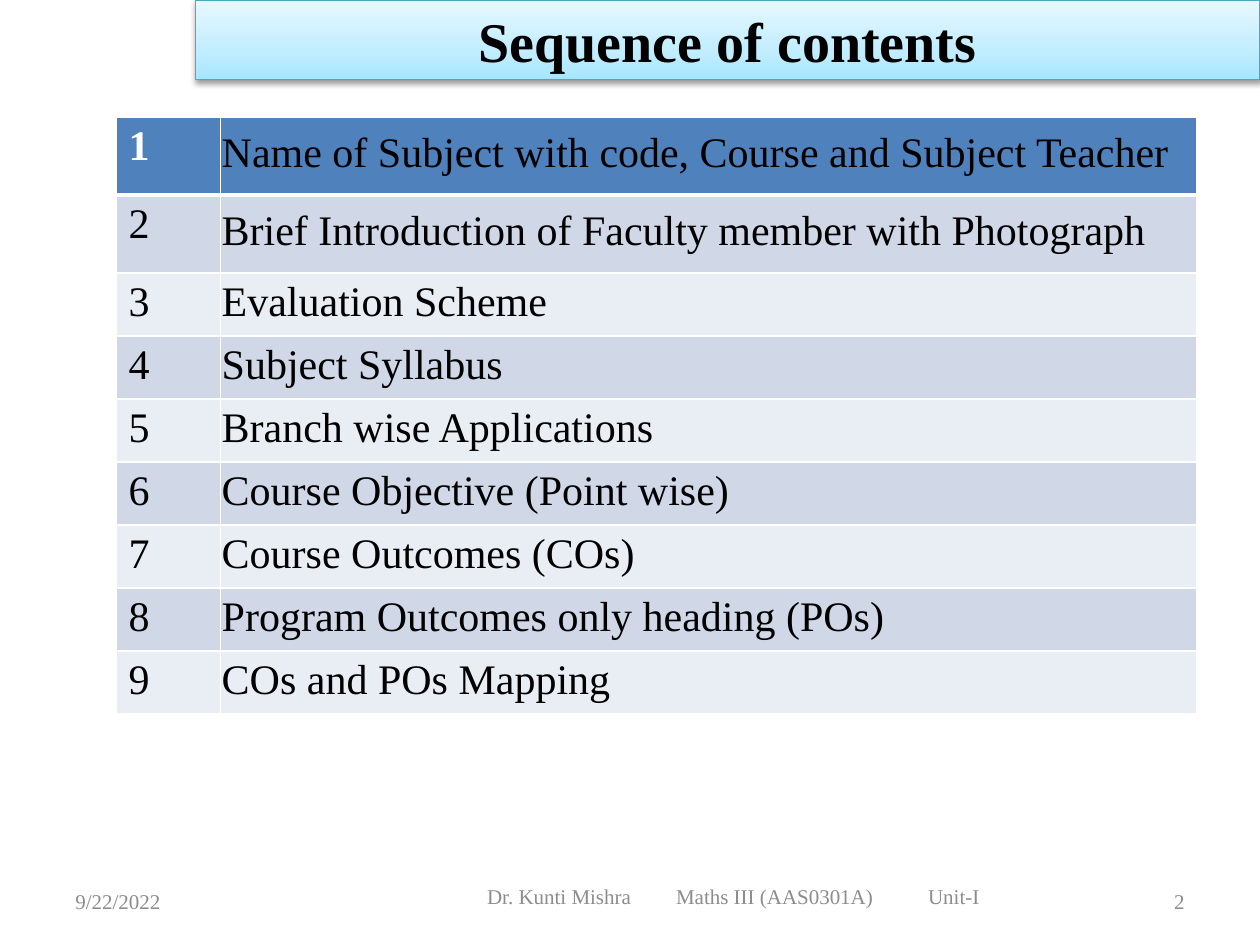
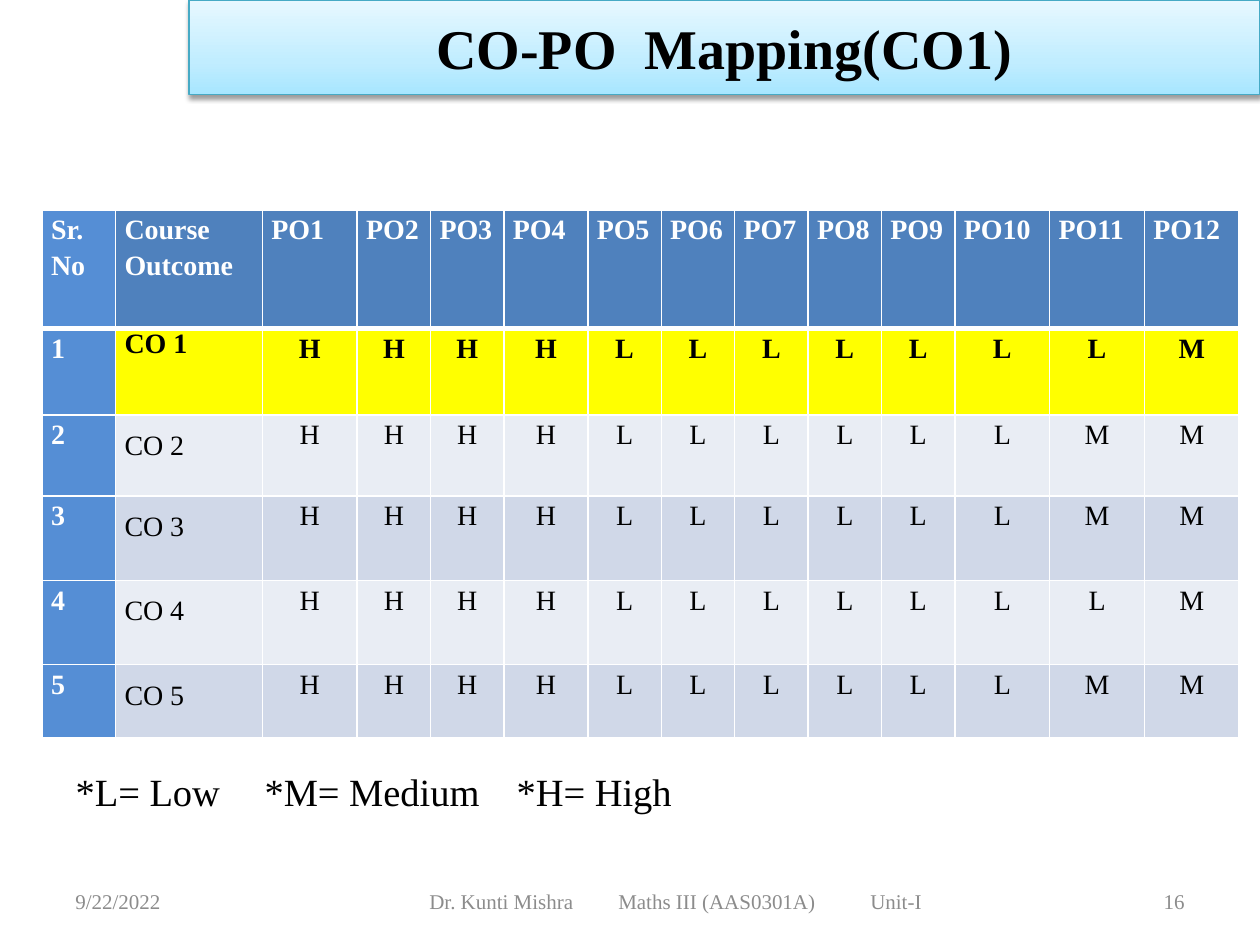
"""Build two course slides: the sequence of contents and the CO-PO mapping table."""
from dataclasses import dataclass

import pptx
import pptx.dml.color
import pptx.enum.text
import pptx.oxml
import pptx.oxml.ns
import pptx.util

Cm = pptx.util.Cm
Pt = pptx.util.Pt
ALIGN = pptx.enum.text.PP_ALIGN
ANCHOR = pptx.enum.text.MSO_ANCHOR


@dataclass(frozen=True)
class Theme:
    font: str = "Times New Roman"
    black: str = "000000"
    white: str = "FFFFFF"
    grey: str = "8C8C8C"
    header: str = "4F81BD"
    serial: str = "558ED5"
    bands: tuple = ("D0D8E8", "E9EDF4")
    highlight: str = "FFFF00"
    band_line: str = "46AAC5"
    band_stops: tuple = ((0, "A7E6FF"), (35, "C1EDFF"), (100, "E7F8FF"))
    title_size: int = 32
    contents_size: int = 24
    legend_size: int = 22
    mapping_size: int = 16
    footer_size: int = 12


THEME = Theme()

DATE = "9/22/2022"
FOOTER = ("Dr. Kunti Mishra", "Maths III (AAS0301A)", "Unit-I")
FOOTER_TABS = (3.97, 9.62)
FOOTER_TEXT_WIDTH = 10.64

CONTENTS = {
    "title": "Sequence of contents",
    "title_box": (3.94, 0, 21.46, 1.6),
    "number": "2",
    "footer_box": (8.69, 17.48, 12.9, 1.19),
    "items": [
        "Name of Subject with code, Course and Subject Teacher",
        "Brief Introduction of Faculty member with Photograph",
        "Evaluation Scheme",
        "Subject Syllabus",
        "Branch wise Applications",
        "Course Objective (Point wise)",
        "Course Outcomes (COs)",
        "Program Outcomes only heading (POs)",
        "COs and POs Mapping",
    ],
    "corner": (2.34, 2.36),
    "columns": [2.1, 19.69],
    "rows": [1.57] * 2 + [1.19] * 7,
}

MAPPING = {
    "title": "CO-PO  Mapping(CO1)",
    "title_box": (3.81, 0, 21.59, 1.91),
    "number": "16",
    "footer_box": (6.99, 17.65, 13.97, 1.02),
    "levels": [
        "HHHHLLLLLLLM",
        "HHHHLLLLLLMM",
        "HHHHLLLLLLMM",
        "HHHHLLLLLLLM",
        "HHHHLLLLLLMM",
    ],
    "corner": (0.85, 4.24),
    "columns": [1.48, 2.96, 1.91, 1.48, 1.48, 1.69] + [1.48] * 5 + [1.91] * 3,
    "rows": [2.38, 1.75, 1.63, 1.7, 1.7, 1.48],
    "legend": ("*L= Low", "*M= Medium", "*H= High"),
    "legend_box": (1.27, 15.3, 22.86, 1.3),
    "legend_tabs": (5.08, 11.15),
}


def element(markup):
    """Parse a DrawingML element, its root tag given without attributes for namespaces."""
    head, rest = markup.split(">", 1)
    slash = "/" if head.endswith("/") else ""
    return pptx.oxml.parse_xml(f"{head.rstrip('/')} {pptx.oxml.ns.nsdecls('a')}{slash}>{rest}")


def rgb(code):
    """Turn a hex code into a colour."""
    return pptx.dml.color.RGBColor.from_string(code)


def write(para, text, size, color, bold=False):
    """Add one formatted run to a paragraph."""
    span = para.add_run()
    span.text = text
    span.font.name = THEME.font
    span.font.size = Pt(size)
    span.font.bold = bold
    span.font.color.rgb = rgb(color)


def place(shape, box):
    """Move a shape to a box given in centimetres."""
    shape.left, shape.top, shape.width, shape.height = map(Cm, box)


def set_tabs(para, stops):
    """Give a paragraph left tab stops and no bullet."""
    properties = para._p.get_or_add_pPr()
    properties.set("marL", "0")
    properties.set("indent", "0")
    tabs = "".join(f'<a:tab pos="{Cm(stop)}" algn="l"/>' for stop in stops)
    properties.append(element("<a:buNone/>"))
    properties.append(element(f"<a:tabLst>{tabs}</a:tabLst>"))


def add_title(page, text, box):
    """Format the title placeholder as the shaded band."""
    title = page.shapes.title
    place(title, box)
    stops = "".join(
        f'<a:gs pos="{position * 1000}"><a:srgbClr val="{color}"/></a:gs>'
        for position, color in THEME.band_stops
    )
    properties = title._element.spPr
    properties.append(element('<a:prstGeom prst="rect"><a:avLst/></a:prstGeom>'))
    properties.append(element(
        f'<a:gradFill><a:gsLst>{stops}</a:gsLst><a:lin ang="16200000" scaled="0"/></a:gradFill>'
    ))
    title.line.color.rgb = rgb(THEME.band_line)
    title.line.width = Pt(0.75)
    properties.append(element(
        f'<a:effectLst><a:outerShdw blurRad="{Pt(3.1)}" dist="{Pt(1.6)}" dir="5400000" '
        'rotWithShape="0"><a:srgbClr val="000000"><a:alpha val="38000"/></a:srgbClr>'
        "</a:outerShdw></a:effectLst>"
    ))
    frame = title.text_frame
    frame.auto_size = pptx.enum.text.MSO_AUTO_SIZE.NONE
    frame.vertical_anchor = ANCHOR.MIDDLE
    para = frame.paragraphs[0]
    para.alignment = ALIGN.CENTER
    write(para, text, THEME.title_size, THEME.black, bold=True)


def add_footer_box(page, box, text, align=ALIGN.LEFT):
    """Add one grey footer text and return its frame."""
    frame = page.shapes.add_textbox(*map(Cm, box)).text_frame
    frame.word_wrap = True
    frame.vertical_anchor = ANCHOR.MIDDLE
    para = frame.paragraphs[0]
    para.alignment = align
    write(para, text, THEME.footer_size, THEME.grey)
    return frame


def start_page(deck, layout, content):
    """Add a slide with its title band and footers."""
    page = deck.slides.add_slide(deck.slide_layouts[layout])
    add_title(page, content["title"], content["title_box"])
    add_footer_box(page, (1.27, 17.65, 5.93, 1.02), DATE)
    add_footer_box(page, (18.2, 17.65, 5.93, 1.02), content["number"], ALIGN.RIGHT)
    frame = add_footer_box(page, content["footer_box"], "\t".join(FOOTER))
    frame.margin_left = Cm((content["footer_box"][2] - FOOTER_TEXT_WIDTH) / 2)
    frame.margin_right = 0
    set_tabs(frame.paragraphs[0], FOOTER_TABS)
    return page


def add_grid(page, content):
    """Add an empty table with the given column widths and row heights."""
    columns, rows = content["columns"], content["rows"]
    grid = page.shapes.add_table(
        len(rows), len(columns), *map(Cm, (*content["corner"], sum(columns), sum(rows)))
    ).table
    for column, width in zip(grid.columns, columns):
        column.width = Cm(width)
    for row, height in zip(grid.rows, rows):
        row.height = Cm(height)
    return grid


def fill_cell(grid, row, column, text, size, fill, color, bold=False, margins=None,
              anchor=ANCHOR.TOP, align=ALIGN.LEFT, spacing=1.0):
    """Write one table cell with white borders, thicker around the header's lower edge."""
    cell = grid.cell(row, column)
    if margins:
        cell.margin_left, cell.margin_top, cell.margin_right, cell.margin_bottom = map(Cm, margins)
    cell.vertical_anchor = anchor
    widths = {"L": 1, "R": 1, "T": 3 if row == 1 else 1, "B": 3 if row == 0 else 1}
    for side, width in widths.items():
        cell._tc.get_or_add_tcPr().append(element(
            f'<a:ln{side} w="{Pt(width)}"><a:solidFill><a:srgbClr val="{THEME.white}"/>'
            f"</a:solidFill></a:ln{side}>"
        ))
    cell.fill.solid()
    cell.fill.fore_color.rgb = rgb(fill)
    para = cell.text_frame.paragraphs[0]
    para.alignment = align
    para.line_spacing = spacing
    write(para, text, size, color, bold)


def band_fill(row):
    """Return the fill of a plain table row."""
    return THEME.header if row == 0 else THEME.bands[(row - 1) % 2]


def build_contents(deck):
    """Build the numbered list of contents."""
    grid = add_grid(start_page(deck, 5, CONTENTS), CONTENTS)
    for row, item in enumerate(CONTENTS["items"]):
        first = row == 0
        fill_cell(grid, row, 0, str(row + 1), THEME.contents_size, band_fill(row),
                  THEME.white if first else THEME.black, bold=first)
        fill_cell(grid, row, 1, item, THEME.contents_size, band_fill(row), THEME.black,
                  margins=(0.03, 0.03, 0.03, 0.13), anchor=ANCHOR.MIDDLE)


def build_mapping(deck):
    """Build the mapping table and its legend."""
    page = start_page(deck, 1, MAPPING)
    legend = page.placeholders[1]
    place(legend, MAPPING["legend_box"])
    legend.text_frame.vertical_anchor = ANCHOR.MIDDLE
    para = legend.text_frame.paragraphs[0]
    set_tabs(para, MAPPING["legend_tabs"])
    para.space_before = Pt(0)
    write(para, "\t".join(MAPPING["legend"]), THEME.legend_size, THEME.black)

    outcomes = len(MAPPING["levels"][0])
    table = [["Sr. No", "Course Outcome"] + [f"PO{n}" for n in range(1, outcomes + 1)]]
    table += [[str(n), f"CO {n}", *levels] for n, levels in enumerate(MAPPING["levels"], 1)]
    grid = add_grid(page, MAPPING)
    for row, texts in enumerate(table):
        for column, text in enumerate(texts):
            serial = column == 0
            fill = THEME.serial if serial else THEME.highlight if row == 1 else band_fill(row)
            spacing = 1.15
            if column == 1 and row > 0:
                spacing = 1.0 if row == 1 else 1.5
            fill_cell(grid, row, column, text, THEME.mapping_size, fill,
                      THEME.white if serial or row == 0 else THEME.black,
                      bold=serial or row < 2, margins=(0.18, 0, 0.18, 0),
                      align=ALIGN.CENTER if row > 0 and column > 1 else ALIGN.LEFT,
                      spacing=spacing)


def main():
    """Create the deck and save it."""
    deck = pptx.Presentation()
    deck.slide_width, deck.slide_height = Cm(25.4), Cm(19.05)
    build_contents(deck)
    build_mapping(deck)
    deck.save("out.pptx")


if __name__ == "__main__":
    main()
